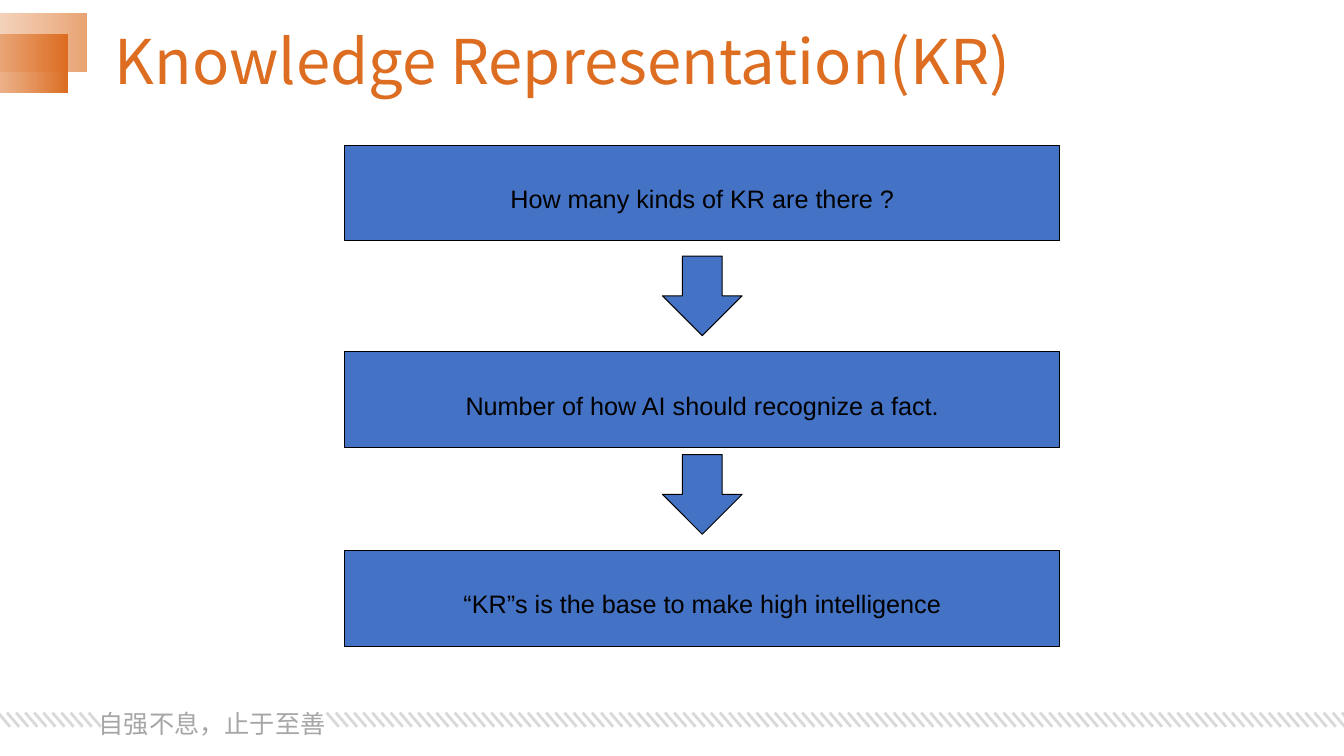
from lxml import etree
from pptx import Presentation
from pptx.dml.color import RGBColor
from pptx.enum import shapes, text
from pptx.oxml import ns
from pptx.util import Inches, Pt

ORANGE = RGBColor(0xDD, 0x6D, 0x21)
PEACH = RGBColor(0xEA, 0xA3, 0x72)
WHITE = RGBColor(0xFF, 0xFF, 0xFF)
BLUE = RGBColor(0x44, 0x72, 0xC4)
BLACK = RGBColor(0, 0, 0)
GREY = RGBColor(0xA6, 0xA6, 0xA6)
PALE_GREY = RGBColor(0xD9, 0xD9, 0xD9)


class SlideBuilder:
    def __init__(self, slide):
        self.slide = slide
        self.body_font = "Arial"
        self.body_size = 18

    def set_words(self, box, words, size, font, color, align, spacing=1.0):
        box.text_frame.word_wrap = True
        line = box.text_frame.paragraphs[0]
        line.text = words
        line.alignment = align
        line.line_spacing = spacing
        line.font.size = Pt(size)
        line.font.color.rgb = color
        line.font.name = font
        for props in box.element.xpath(".//a:defRPr"):
            etree.SubElement(props, ns.qn("a:ea"), typeface=font)

    def label(self, words, place, size, font, color, align, spacing, anchor):
        box = self.slide.shapes.add_textbox(*map(Inches, place))
        box.text_frame.vertical_anchor = anchor
        self.set_words(box, words, size, font, color, align, spacing)

    def shape(self, kind, place):
        figure = self.slide.shapes.add_shape(kind, *map(Inches, place))
        figure.shadow.inherit = False
        return figure

    def fading_bar(self, place, color, start_opacity):
        """Bar running from see-through white to a solid colour."""
        bar = self.shape(shapes.MSO_SHAPE.RECTANGLE, place)
        bar.line.fill.background()
        bar.fill.gradient()
        bar.fill.gradient_angle = 0
        start, end = bar.fill.gradient_stops
        start.color.rgb, end.color.rgb = WHITE, color
        start.position, end.position = 0, 1
        white = bar.element.xpath(".//a:gs[1]/a:srgbClr")[0]
        etree.SubElement(white, ns.qn("a:alpha"), val=str(start_opacity * 1000))

    def outlined(self, kind, place):
        figure = self.shape(kind, place)
        figure.fill.solid()
        figure.fill.fore_color.rgb = BLUE
        figure.line.color.rgb = BLACK
        figure.line.width = Pt(0.75)
        return figure

    def step(self, words, top):
        box = self.outlined(shapes.MSO_SHAPE.RECTANGLE, (3.42, top, 7.09, 0.95))
        box.text_frame.vertical_anchor = text.MSO_ANCHOR.TOP
        box.text_frame.margin_top = Inches(0.38)
        self.set_words(box, words, self.body_size, self.body_font, BLACK,
                       text.PP_ALIGN.CENTER)

    def down_arrow(self, top):
        self.outlined(shapes.MSO_SHAPE.DOWN_ARROW, (6.57, top, 0.79, 0.79))

    def hatching(self, first, last, count):
        """Evenly spaced slanted strokes whose tops run from first to last."""
        for i in range(count):
            x = first + i * (last - first) / (count - 1)
            stroke = self.slide.shapes.add_connector(
                shapes.MSO_CONNECTOR.STRAIGHT,
                Inches(x), Inches(7.07), Inches(x + 0.12), Inches(7.21))
            stroke.line.color.rgb = PALE_GREY
            stroke.line.width = Pt(2)
            etree.SubElement(stroke.element.spPr, ns.qn("a:effectLst"))


def main():
    deck = Presentation()
    deck.slide_width, deck.slide_height = Inches(13.33), Inches(7.5)
    page = SlideBuilder(deck.slides.add_slide(deck.slide_layouts[6]))

    page.fading_bar((-1.59, 0.13, 2.45, 0.58), PEACH, 25)
    page.fading_bar((-1.78, 0.34, 2.45, 0.58), ORANGE, 0)
    page.hatching(-0.02, 0.88, 11)
    page.label("自强不息，止于至善", (0.88, 6.83, 2.46, 0.52), 18,
               "Noto Sans CJK JP", GREY, text.PP_ALIGN.JUSTIFY, 1.5,
               text.MSO_ANCHOR.TOP)
    page.hatching(3.24, 13.31, 112)

    page.label("Knowledge Representation(KR)", (1.04, 0.11, 11.5, 1.07), 44,
               "Noto Sans CJK SC", ORANGE, text.PP_ALIGN.LEFT, 0.9,
               text.MSO_ANCHOR.MIDDLE)
    for words, top in (
        ("How many kinds of KR are there ?", 1.44),
        ("Number of how AI should recognize a fact.", 3.49),
        ("“KR”s is the base to make high intelligence", 5.46),
    ):
        page.step(words, top)
    for top in (2.54, 4.51):
        page.down_arrow(top)

    deck.save("out.pptx")


if __name__ == "__main__":
    main()
